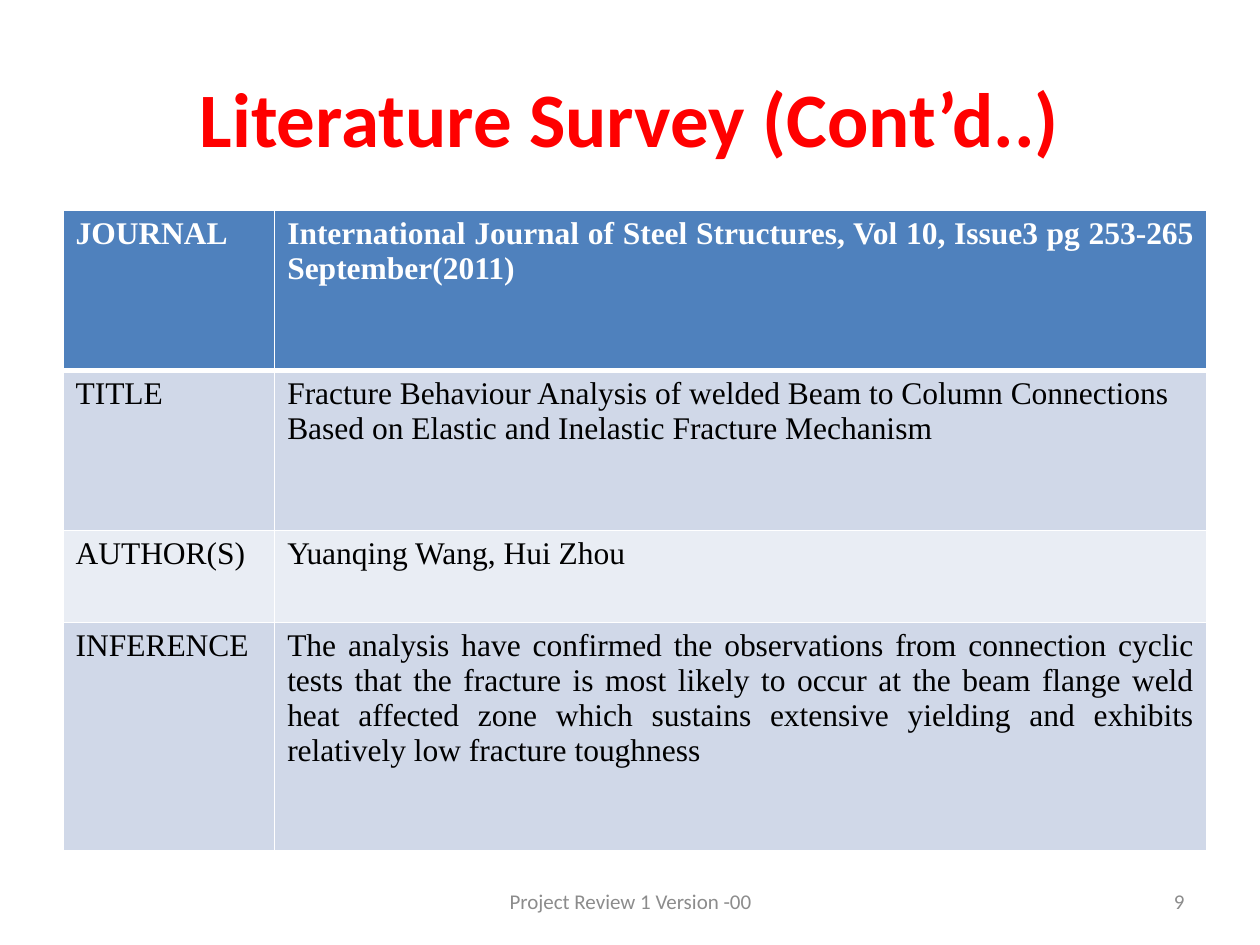
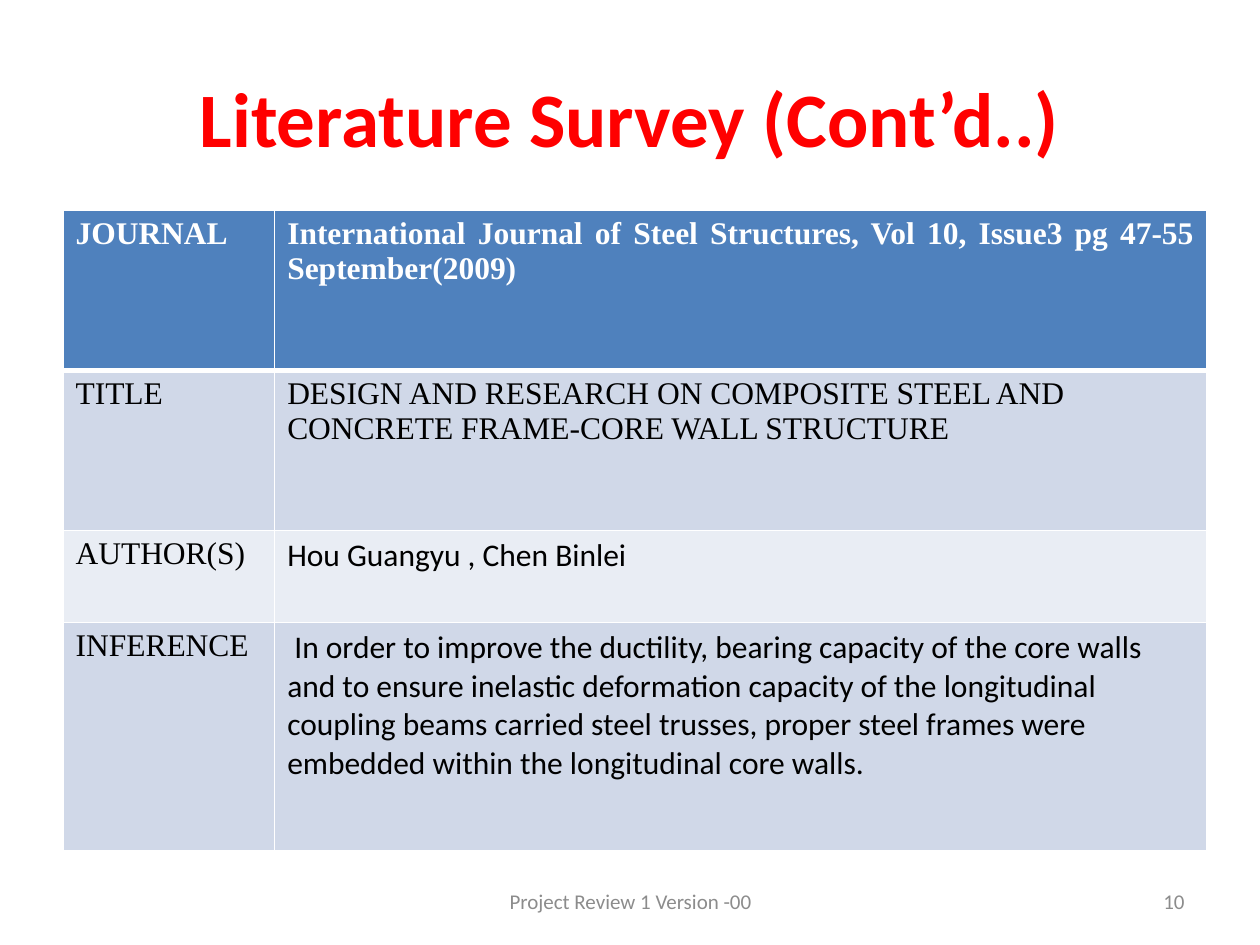
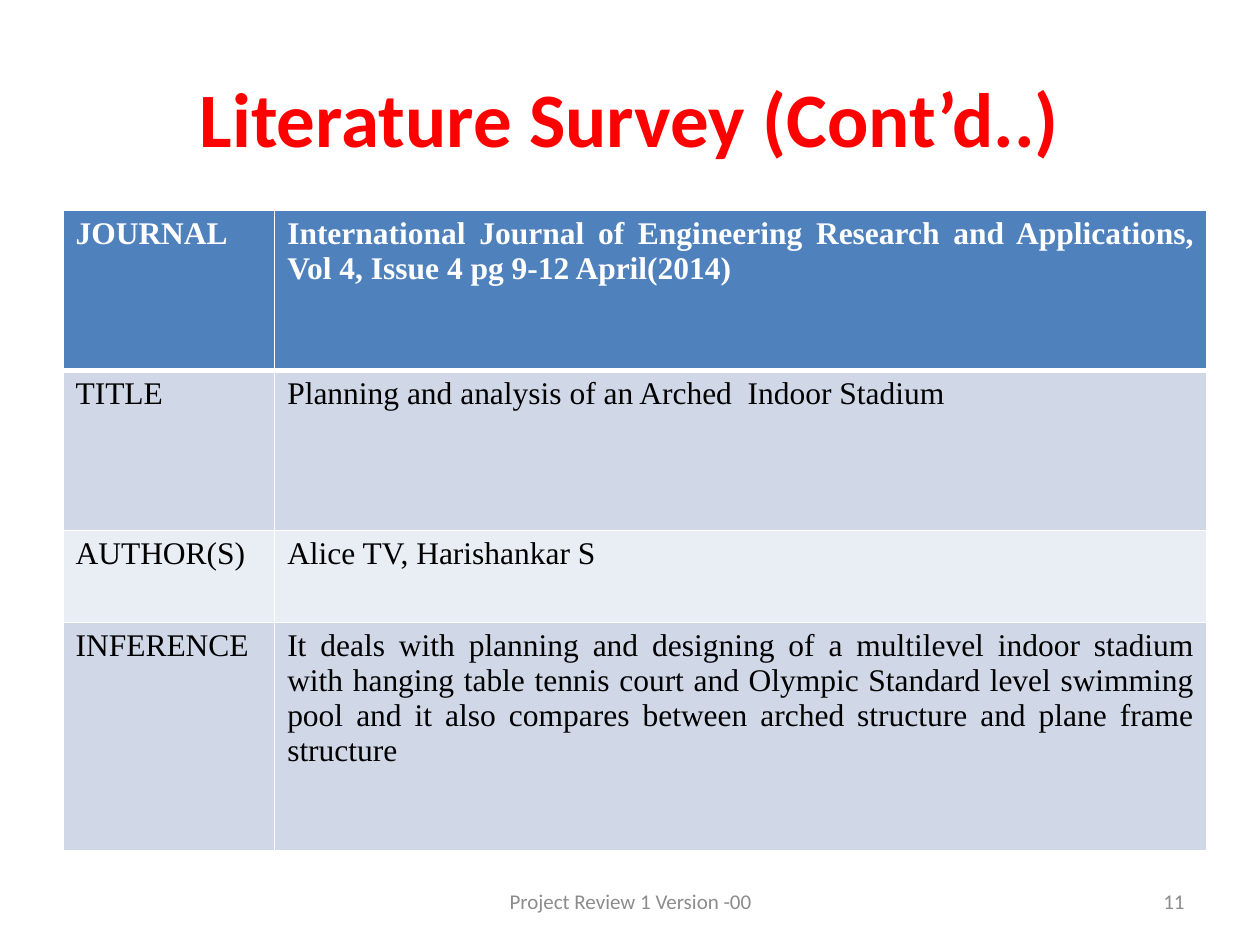
from lxml import etree
from pptx import Presentation
from pptx.dml.color import RGBColor
from pptx.enum import text as t
from pptx.oxml import ns
from pptx.util import Inches, Pt

RED = RGBColor(0xFF, 0x00, 0x00)
BLUE = RGBColor(0x4F, 0x81, 0xBD)
PALE = RGBColor(0xD0, 0xD8, 0xE8)
LIGHT = RGBColor(0xE9, 0xED, 0xF4)
WHITE = RGBColor(0xFF, 0xFF, 0xFF)
BLACK = RGBColor(0x00, 0x00, 0x00)
GREY = RGBColor(0x8C, 0x8C, 0x8C)

SANS, SERIF = "Calibri", "Times New Roman"
LEFT, MID, RIGHT, JUST = (t.PP_ALIGN.LEFT, t.PP_ALIGN.CENTER,
                          t.PP_ALIGN.RIGHT, t.PP_ALIGN.JUSTIFY)

HEAD = "Literature Survey (Cont’d..)"
FOOT = "Project Review 1 Version -00"
LABELS = ["JOURNAL", "TITLE", "AUTHOR(S)", "INFERENCE"]
FILLS = [BLUE, PALE, LIGHT, PALE]
COLS = [1.68, 7.4]
ROWS = [1.27, 1.27, 0.73, 1.81]

# Each entry: text, font and alignment of the right-hand cells
PAPERS = [
    [("International Journal of Steel Structures, Vol 10, Issue3 pg 253-265 "
      "September(2011)", SERIF, JUST),
     ("Fracture Behaviour Analysis of welded Beam to Column Connections "
      "Based on Elastic and Inelastic Fracture Mechanism", SERIF, LEFT),
     ("Yuanqing Wang, Hui Zhou", SERIF, LEFT),
     ("The analysis have confirmed the observations from connection cyclic "
      "tests that the fracture is most likely to occur at the beam flange "
      "weld heat affected zone which sustains extensive yielding and exhibits "
      "relatively low fracture toughness", SERIF, JUST)],
    [("International Journal of Steel Structures, Vol 10, Issue3 pg 47-55 "
      "September(2009)", SERIF, JUST),
     ("DESIGN AND RESEARCH ON COMPOSITE STEEL AND  CONCRETE FRAME-CORE WALL "
      "STRUCTURE", SERIF, LEFT),
     ("Hou Guangyu , Chen Binlei", SANS, LEFT),
     (" In order to improve the ductility, bearing capacity of the core walls "
      "and to ensure inelastic deformation capacity of the longitudinal "
      "coupling beams carried steel trusses, proper steel frames were "
      "embedded within the longitudinal core walls.", SANS, LEFT)],
    [("International Journal of Engineering Research and Applications, "
      "Vol 4, Issue 4 pg 9-12 April(2014)", SERIF, JUST),
     ("Planning and analysis of an Arched  Indoor Stadium", SERIF, LEFT),
     ("Alice TV, Harishankar S", SERIF, LEFT),
     ("It deals with planning and designing of a multilevel indoor stadium "
      "with hanging table tennis court and Olympic Standard level swimming "
      "pool and it also compares between arched structure and plane frame "
      "structure", SERIF, JUST)],
]


def write(frame, words, align, color, **form):
    frame.text = words
    para = frame.paragraphs[0]
    para.alignment = align
    font = para.runs[0].font
    font.color.rgb = color
    for key, val in form.items():
        setattr(font, key, val)


def edge(cell, side, width):
    """Draw one white border of a cell; call before filling the cell."""
    props = cell._tc.get_or_add_tcPr()
    line = etree.SubElement(props, ns.qn("a:ln" + side), w=str(Pt(width)))
    fill = etree.SubElement(line, ns.qn("a:solidFill"))
    etree.SubElement(fill, ns.qn("a:srgbClr"), val=str(WHITE))


prs = Presentation()
prs.slide_width, prs.slide_height = Inches(10), Inches(7.5)

for num, paper in enumerate(PAPERS, 9):
    slide = prs.slides.add_slide(prs.slide_layouts[5])
    title = slide.shapes.title
    title.left, title.top = Inches(0.5), Inches(0.3)
    title.width, title.height = Inches(9), Inches(1.25)
    title.text_frame.vertical_anchor = t.MSO_ANCHOR.MIDDLE
    write(title.text_frame, HEAD, MID, RED, size=Pt(44), name=SANS, bold=True)

    table = slide.shapes.add_table(
        len(ROWS), len(COLS), Inches(0.5), Inches(1.67),
        Inches(sum(COLS)), Inches(sum(ROWS))).table
    for col, wide in zip(table.columns, COLS):
        col.width = Inches(wide)
    for r, (label, entry) in enumerate(zip(LABELS, paper)):
        table.rows[r].height = Inches(ROWS[r])
        top = r == 0
        for c, (words, face, align) in enumerate([(label, SERIF, LEFT), entry]):
            cell = table.cell(r, c)
            for side in "LRTB":
                thick = (r, side) in [(0, "B"), (1, "T")]
                edge(cell, side, 3 if thick else 1)
            cell.fill.solid()
            cell.fill.fore_color.rgb = FILLS[r]
            write(cell.text_frame, words, align, WHITE if top else BLACK,
                  size=Pt(18), name=face, bold=top)

    for words, left, wide, align in [(str(num), 7.17, 2.33, RIGHT),
                                     (FOOT, 3.42, 3.17, MID)]:
        box = slide.shapes.add_textbox(
            Inches(left), Inches(6.95), Inches(wide), Inches(0.4))
        box.text_frame.word_wrap = True
        box.text_frame.vertical_anchor = t.MSO_ANCHOR.MIDDLE
        write(box.text_frame, words, align, GREY, size=Pt(12), name=SANS)

prs.save("out.pptx")
